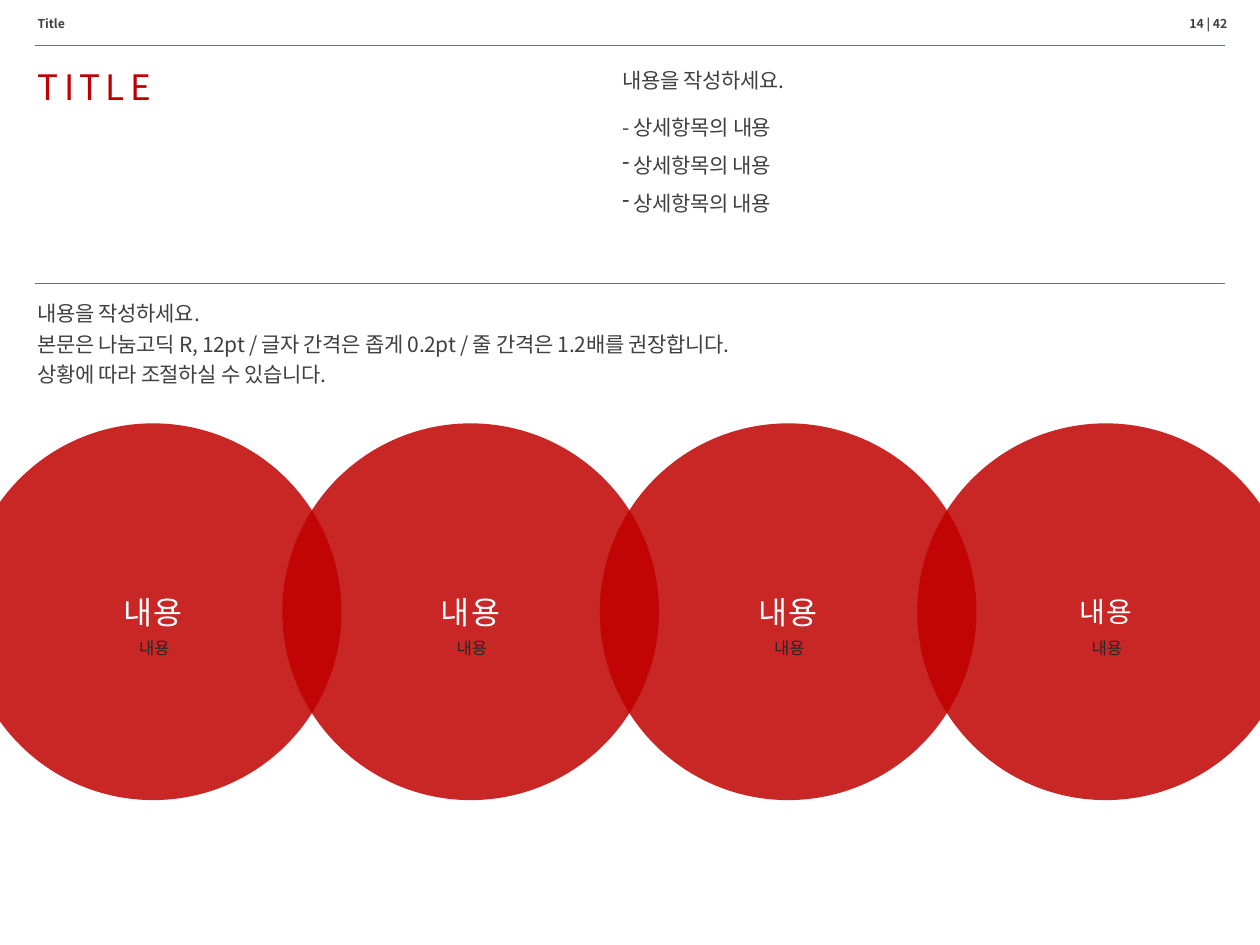
from lxml import etree
from pptx import Presentation
from pptx.dml.color import RGBColor
from pptx.enum.shapes import MSO_CONNECTOR as Connector, MSO_SHAPE as Shape
from pptx.enum.text import MSO_ANCHOR as Anchor, MSO_AUTO_SIZE as AutoSize, PP_ALIGN as Align
from pptx.oxml.ns import qn
from pptx.util import Inches, Pt

FONT = "Noto Sans CJK KR"
RED, GRAY, DARK, WHITE, RULE = "C00000", "404040", "262626", "FFFFFF", "68727E"
HEADER = {"size": 7, "color": GRAY, "bold": True, "line_spacing": 0.8}
BODY = {"size": 12, "color": GRAY, "spacing": -0.2}
LABEL = {"size": 9.5, "color": DARK, "alignment": Align.CENTER}
CIRCLE_SIZE = 2.99
CIRCLE_PITCH = 2.52


def rgb(value):
    return RGBColor.from_string(value)


def set_attributes(target, values):
    for name, value in values.items():
        setattr(target, name, value)


def write_text(shape, lines, size, color, bold=False, spacing=0,
               alignment=Align.LEFT, line_spacing=1.0, anchor=Anchor.TOP,
               wrap=True, bullets=()):
    frame = shape.text_frame
    set_attributes(frame, {"text": "\n".join(lines), "word_wrap": wrap,
                           "vertical_anchor": anchor, "auto_size": AutoSize.NONE})
    for index, paragraph in enumerate(frame.paragraphs):
        set_attributes(paragraph, {"alignment": alignment, "line_spacing": line_spacing})
        if index in bullets:
            properties = paragraph._p.get_or_add_pPr()
            etree.SubElement(properties, qn("a:buChar")).set("char", "-")
        for run in paragraph.runs:
            set_attributes(run.font, {"name": FONT, "size": Pt(size), "bold": bold})
            run.font.color.rgb = rgb(color)
            properties = run._r.get_or_add_rPr()
            properties.set("spc", str(round(spacing * 100)))
            etree.SubElement(properties, qn("a:ea")).set("typeface", FONT)


def add_text(slide, left, top, width, height, lines, **style):
    box = slide.shapes.add_textbox(Inches(left), Inches(top), Inches(width), Inches(height))
    write_text(box, lines, **style)


def add_title(slide, text):
    title = slide.shapes.title
    set_attributes(title, {"left": Inches(0.2), "top": Inches(0.51),
                           "width": Inches(2.44), "height": Inches(0.4)})
    write_text(title, [text], size=20, color=RED, spacing=3, line_spacing=0.9)


def add_rule(slide, top):
    rule = slide.shapes.add_connector(Connector.STRAIGHT, Inches(0.28), Inches(top),
                                      Inches(9.72), Inches(top))
    rule.line.width = Pt(0.25)
    rule.line.color.rgb = rgb(RULE)
    etree.SubElement(rule._element.spPr, qn("a:effectLst"))


def add_circle(slide, left, text, size):
    circle = slide.shapes.add_shape(Shape.OVAL, Inches(left), Inches(3.36),
                                    Inches(CIRCLE_SIZE), Inches(CIRCLE_SIZE))
    circle.shadow.inherit = False
    circle.line.fill.background()
    circle.fill.solid()
    circle.fill.fore_color.rgb = rgb(RED)
    color = circle._element.spPr.find(".//" + qn("a:srgbClr"))
    etree.SubElement(color, qn("a:alpha")).set("val", "85000")
    write_text(circle, [text], size=size, color=WHITE, spacing=0.8,
               alignment=Align.CENTER, anchor=Anchor.MIDDLE)


def main():
    presentation = Presentation()
    set_attributes(presentation, {"slide_width": Inches(10), "slide_height": Inches(7.5)})
    slide = presentation.slides.add_slide(presentation.slide_layouts[5])

    for top in (0.36, 2.25):
        add_rule(slide, top)
    add_title(slide, "TITLE")
    add_text(slide, 0.2, 2.3, 9.53, 0.83, [
        "내용을 작성하세요.",
        "본문은 나눔고딕 R, 12pt / 글자 간격은 좁게 0.2pt / 줄 간격은 1.2배를 권장합니다.",
        "상황에 따라 조절하실 수 있습니다.",
    ], line_spacing=1.2, **BODY)

    for index, size in enumerate((18, 18, 18, 16)):
        add_circle(slide, -0.28 + index * CIRCLE_PITCH, "내용", size)

    add_text(slide, 4.84, 0.52, 2.52, 0.27, ["내용을 작성하세요."], line_spacing=0.85, **BODY)
    detail = "상세항목의 내용"
    add_text(slide, 4.84, 0.76, 2.52, 1.01, [f"- {detail}", f" {detail}", f" {detail}"],
             line_spacing=1.5, bullets=(1, 2), **BODY)

    for index in range(4):
        add_text(slide, 1 + index * CIRCLE_PITCH, 5.01, 0.45, 0.26, ["내용"],
                 wrap=False, **LABEL)

    add_text(slide, 0.2, 0.1, 2.56, 0.2, ["Title"], **HEADER)
    add_text(slide, 7.28, 0.1, 2.56, 0.2, ["14 | 42"], alignment=Align.RIGHT, **HEADER)
    presentation.save("out.pptx")


if __name__ == "__main__":
    main()
